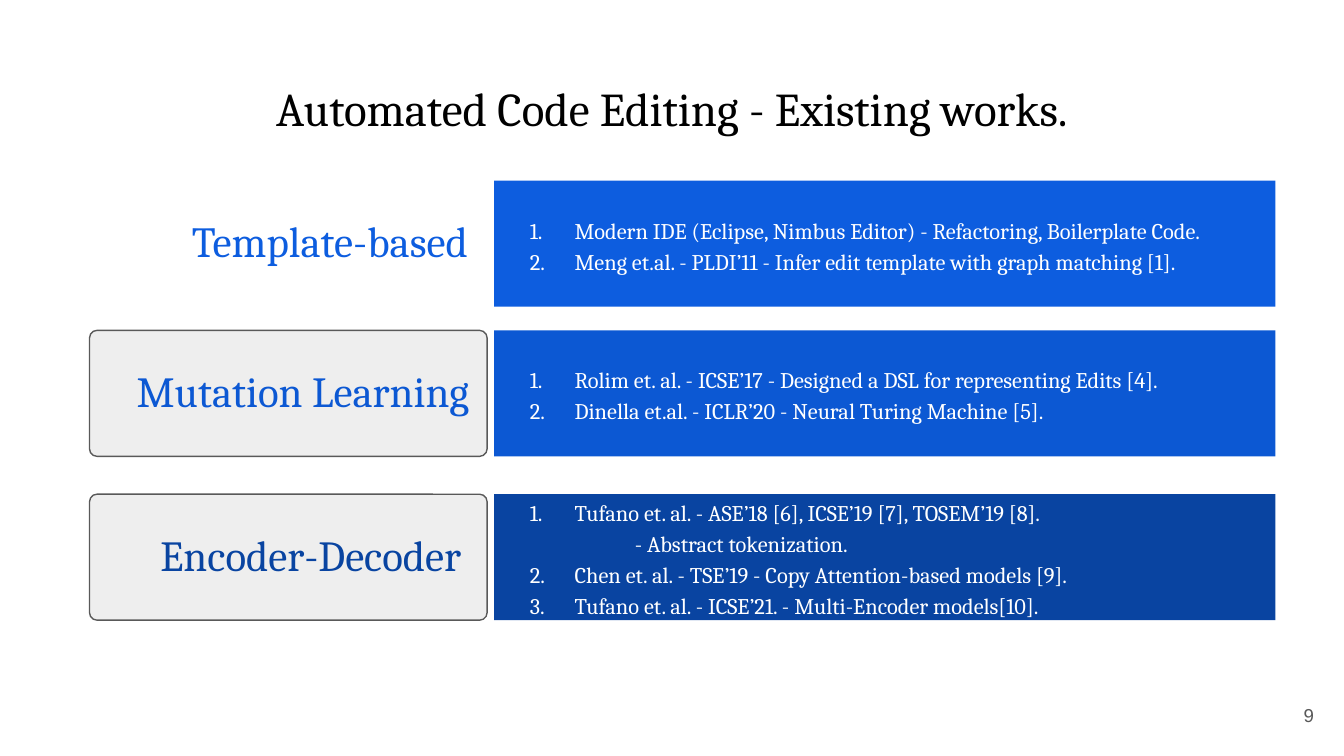
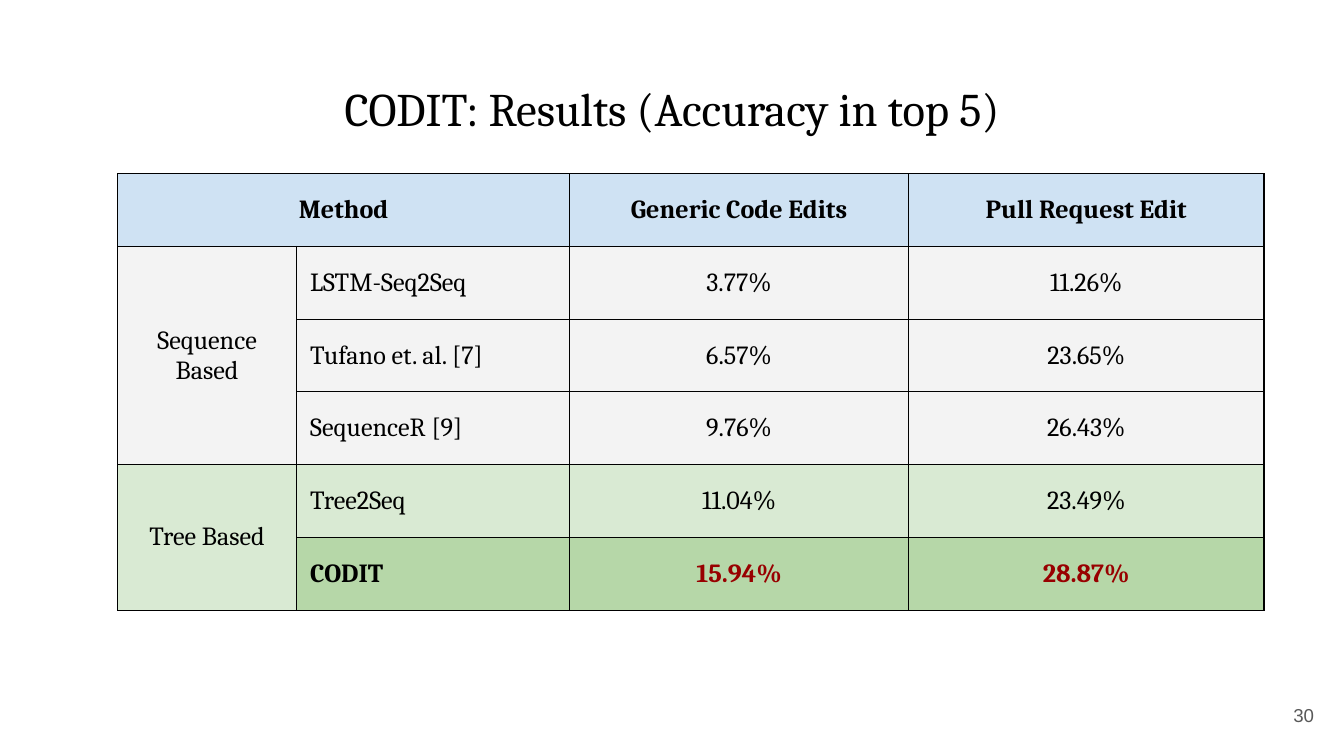
from dataclasses import dataclass

import lxml.etree
import pptx
import pptx.dml.color
import pptx.enum.shapes
import pptx.enum.text
import pptx.oxml.ns
import pptx.util

RGBColor = pptx.dml.color.RGBColor
Align = pptx.enum.text.PP_ALIGN
Anchor = pptx.enum.text.MSO_ANCHOR
Preset = pptx.enum.shapes.MSO_SHAPE

EMU_PER_PX = 9525
SLIDE_WIDTH, SLIDE_HEIGHT = 960, 540

BLACK = RGBColor(0x00, 0x00, 0x00)
WHITE = RGBColor(0xFF, 0xFF, 0xFF)
GREY = RGBColor(0x59, 0x59, 0x59)
BADGE_GREY = RGBColor(0xEE, 0xEE, 0xEE)
BRIGHT_BLUE = RGBColor(0x0D, 0x5D, 0xDF)
MIDDLE_BLUE = RGBColor(0x0C, 0x58, 0xD3)
DARK_BLUE = RGBColor(0x09, 0x44, 0xA1)
HEADER_BLUE = RGBColor(0xCF, 0xE2, 0xF3)
SEQUENCE_GREY = RGBColor(0xF3, 0xF3, 0xF3)
TREE_GREEN = RGBColor(0xD9, 0xEA, 0xD3)
BEST_GREEN = RGBColor(0xB6, 0xD7, 0xA8)
BEST_RED = RGBColor(0x98, 0x00, 0x00)

SERIF = "Cambria"
SANS = "Arial"
INSET = 10


@dataclass(frozen=True)
class Box:
    left: int
    top: int
    width: int
    height: int

    def emu(self) -> list[int]:
        return [px(value) for value in (self.left, self.top, self.width, self.height)]


@dataclass(frozen=True)
class Style:
    size: float
    color: RGBColor
    font: str = SERIF
    bold: bool = False
    align: Align = Align.LEFT
    spacing: float = 1.0


@dataclass(frozen=True)
class Work:
    text: str
    start: int = 1
    numbered: bool = True


@dataclass(frozen=True)
class Approach:
    name: str
    top: int
    label_left: int
    label_width: int
    color: RGBColor
    has_badge: bool
    works: tuple[Work, ...]


@dataclass(frozen=True)
class ResultRow:
    group: str
    cells: tuple[str, str, str]
    fill: RGBColor
    bold: bool = False
    value_color: RGBColor = BLACK


TITLE_BOX = Box(33, 47, 894, 61)
NUMBER_BOX = Box(890, 490, 58, 41)
NUMBER_STYLE = Style(10, GREY, SANS, align=Align.RIGHT)

BAND_HEIGHT = 90
LABEL_HEIGHT = 78
BADGE_LEFT, BADGE_WIDTH = 64, 284
PANEL_LEFT, PANEL_WIDTH = 353, 558
NUMBER_INDENT, NUMBER_HANG, DETAIL_INDENT = 48, 32, 91
WORK_STYLE = Style(12, WHITE, spacing=1.15)

APPROACHES = (
    Approach("Template-based", 129, 40, 304, BRIGHT_BLUE, False, (
        Work("Modern IDE (Eclipse, Nimbus Editor) - Refactoring, Boilerplate Code."),
        Work("Meng et.al. - PLDI’11 - Infer edit template with graph matching [1]."),
    )),
    Approach("Mutation Learning", 236, 64, 281, MIDDLE_BLUE, True, (
        Work("Rolim et. al. - ICSE’17 - Designed a DSL for representing Edits [4]."),
        Work("Dinella et.al. - ICLR’20 - Neural Turing Machine [5]."),
    )),
    Approach("Encoder-Decoder ", 353, 72, 274, DARK_BLUE, True, (
        Work("Tufano et. al. - ASE’18 [6], ICSE’19 [7], TOSEM’19 [8]."),
        Work("- Abstract tokenization.", numbered=False),
        Work("Chen et. al. - TSE’19 - Copy Attention-based models [9].", 2),
        Work("Tufano et. al. - ICSE’21. - Multi-Encoder models[10].", 2),
    )),
)

TABLE_LEFT, TABLE_TOP, ROW_HEIGHT = 84, 124, 52
COLUMN_WIDTHS = (128, 195, 242, 254)
MERGES = (((0, 0), (0, 1)), ((1, 0), (3, 0)), ((4, 0), (5, 0)))
RESULTS = (
    ResultRow("Method", ("", "Generic Code Edits", "Pull Request Edit"), HEADER_BLUE, True),
    ResultRow("Sequence Based", ("LSTM-Seq2Seq", "3.77%", "11.26%"), SEQUENCE_GREY),
    ResultRow("", ("Tufano et. al. [7]", "6.57%", "23.65%"), SEQUENCE_GREY),
    ResultRow("", ("SequenceR [9]", "9.76%", "26.43%"), SEQUENCE_GREY),
    ResultRow("Tree Based", ("Tree2Seq", "11.04%", "23.49%"), TREE_GREEN),
    ResultRow("", ("CODIT", "15.94%", "28.87%"), BEST_GREEN, True, BEST_RED),
)


def px(value: int) -> int:
    return pptx.util.Emu(value * EMU_PER_PX)


def add_element(parent, tag: str, **attributes: str):
    return lxml.etree.SubElement(parent, pptx.oxml.ns.qn(tag), attributes)


def add_solid_fill(parent, color: RGBColor) -> None:
    add_element(add_element(parent, "a:solidFill"), "a:srgbClr", val=str(color))


def format_paragraph(paragraph, style: Style) -> None:
    paragraph.alignment = style.align
    paragraph.line_spacing = style.spacing
    for run in paragraph.runs:
        run.font.name = style.font
        run.font.size = pptx.util.Pt(style.size)
        run.font.bold = style.bold
        run.font.color.rgb = style.color


def add_text(slide, box: Box, text: str, style: Style, anchor: Anchor = Anchor.MIDDLE):
    shape = slide.shapes.add_textbox(*box.emu())
    text_frame = shape.text_frame
    text_frame.word_wrap = True
    text_frame.vertical_anchor = anchor
    text_frame.text = text
    for paragraph in text_frame.paragraphs:
        format_paragraph(paragraph, style)
    return shape


def add_block(slide, preset: Preset, box: Box, fill: RGBColor):
    shape = slide.shapes.add_shape(preset, *box.emu())
    shape.shadow.inherit = False
    shape.fill.solid()
    shape.fill.fore_color.rgb = fill
    shape.line.fill.background()
    return shape


def add_base_slide(presentation, title: str, number: int, title_size: float):
    slide = presentation.slides.add_slide(presentation.slide_layouts[6])
    title_style = Style(title_size, BLACK, align=Align.CENTER)
    title_shape = add_text(slide, TITLE_BOX, title, title_style, Anchor.TOP)
    title_shape.text_frame.margin_top = px(INSET)
    add_text(slide, NUMBER_BOX, str(number), NUMBER_STYLE)
    return slide


def indent_work(paragraph, work: Work) -> None:
    properties = paragraph._p.get_or_add_pPr()
    if work.numbered:
        properties.set("marL", str(px(NUMBER_INDENT)))
        properties.set("indent", str(-px(NUMBER_HANG)))
        color = add_element(properties, "a:buClr")
        add_element(color, "a:srgbClr", val=str(WHITE))
        add_element(properties, "a:buAutoNum", type="arabicPeriod", startAt=str(work.start))
    else:
        properties.set("marL", str(px(DETAIL_INDENT)))
        properties.set("indent", "0")
        add_element(properties, "a:buNone")


def add_approach(slide, approach: Approach) -> None:
    if approach.has_badge:
        badge_box = Box(BADGE_LEFT, approach.top, BADGE_WIDTH, BAND_HEIGHT)
        badge = add_block(slide, Preset.ROUNDED_RECTANGLE, badge_box, BADGE_GREY)
        badge.adjustments[0] = 0.06
        badge.line.color.rgb = GREY
        badge.line.width = pptx.util.Pt(0.75)
    label_top = approach.top + (BAND_HEIGHT - LABEL_HEIGHT) // 2
    label_box = Box(approach.label_left, label_top, approach.label_width, LABEL_HEIGHT)
    label_style = Style(23, approach.color, align=Align.RIGHT, spacing=0.9)
    add_text(slide, label_box, approach.name, label_style)

    panel_box = Box(PANEL_LEFT, approach.top, PANEL_WIDTH, BAND_HEIGHT)
    panel = add_block(slide, Preset.RECTANGLE, panel_box, approach.color)
    text_frame = panel.text_frame
    text_frame.word_wrap = True
    text_frame.vertical_anchor = Anchor.MIDDLE
    text_frame.text = "\n".join(work.text for work in approach.works)
    for paragraph, work in zip(text_frame.paragraphs, approach.works):
        indent_work(paragraph, work)
        format_paragraph(paragraph, WORK_STYLE)


def format_cell(cell, text: str, fill: RGBColor, style: Style) -> None:
    properties = cell._tc.get_or_add_tcPr()
    for side in ("a:lnL", "a:lnR", "a:lnT", "a:lnB"):
        border = add_element(properties, side, w=str(pptx.util.Pt(0.75)))
        add_solid_fill(border, BLACK)
    cell.fill.solid()
    cell.fill.fore_color.rgb = fill
    cell.vertical_anchor = Anchor.MIDDLE
    cell.margin_top = cell.margin_bottom = px(INSET)
    cell.text_frame.text = text
    format_paragraph(cell.text_frame.paragraphs[0], style)


def add_results_table(slide) -> None:
    box = Box(TABLE_LEFT, TABLE_TOP, sum(COLUMN_WIDTHS), ROW_HEIGHT * len(RESULTS))
    table = slide.shapes.add_table(len(RESULTS), len(COLUMN_WIDTHS), *box.emu()).table
    table.first_row = table.horz_banding = False
    for column, width in zip(table.columns, COLUMN_WIDTHS):
        column.width = px(width)
    for row_index, row in enumerate(RESULTS):
        table.rows[row_index].height = px(ROW_HEIGHT)
        for column_index, text in enumerate((row.group, *row.cells)):
            is_group = column_index == 0
            fill = TREE_GREEN if is_group and row.fill == BEST_GREEN else row.fill
            color = row.value_color if column_index > 1 else BLACK
            align = Align.LEFT if column_index == 1 else Align.CENTER
            style = Style(14, color, bold=row.bold, align=align)
            format_cell(table.cell(row_index, column_index), text, fill, style)
    for first, last in MERGES:
        table.cell(*first).merge(table.cell(*last))


def main() -> None:
    presentation = pptx.Presentation()
    presentation.slide_width = px(SLIDE_WIDTH)
    presentation.slide_height = px(SLIDE_HEIGHT)

    works_slide = add_base_slide(
        presentation, "Automated Code Editing - Existing works.", 9, 25.2)
    for approach in APPROACHES:
        add_approach(works_slide, approach)

    results_slide = add_base_slide(
        presentation, "CODIT: Results (Accuracy in top 5)", 30, 25)
    add_results_table(results_slide)

    presentation.save("out.pptx")


if __name__ == "__main__":
    main()
